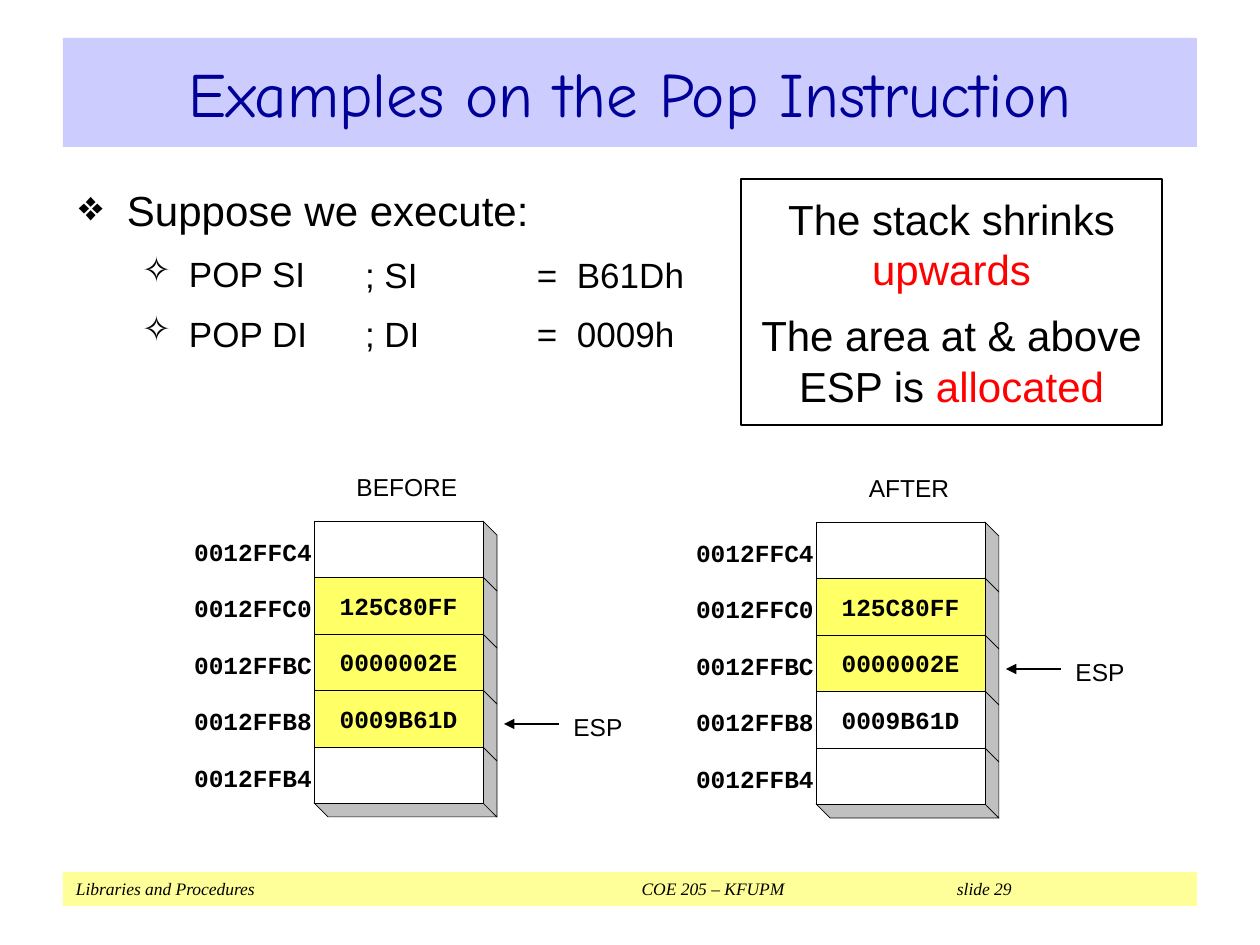
from itertools import pairwise

from lxml.etree import SubElement
from pptx import Presentation
from pptx.dml.color import RGBColor
from pptx.enum.shapes import MSO_CONNECTOR, MSO_SHAPE
from pptx.enum.text import MSO_ANCHOR, PP_ALIGN
from pptx.oxml.ns import qn
from pptx.util import Pt

SCALE = 914400 / 126
COLORS = {
    "black": "000000", "white": "FFFFFF", "red": "FF0000", "navy": "000099",
    "lavender": "CCCCFF", "cream": "FFFF99", "yellow": "FFFF66", "gray": "C0C0C0",
}
ADDRESSES = ["0012FFC4", "0012FFC0", "0012FFBC", "0012FFB8", "0012FFB4"]
VALUES = ["", "125C80FF", "0000002E", "0009B61D", ""]


def px(length):
    """Turn a length in px into EMU."""
    return round(length * SCALE)


def color(name):
    """Look up a named colour."""
    return RGBColor.from_string(COLORS[name])


def paint(shape, fill=None, line=None):
    """Set the fill and the outline width of a shape, without a shadow."""
    shape.shadow.inherit = False
    if fill:
        shape.fill.solid()
        shape.fill.fore_color.rgb = color(fill)
    else:
        shape.fill.background()
    if line:
        shape.line.color.rgb = color("black")
        shape.line.width = Pt(line)
    else:
        shape.line.fill.background()


def set_frame(shape, margins=(0, 0), anchor=MSO_ANCHOR.TOP, wrap=True):
    """Prepare the text frame of a shape and return it."""
    frame = shape.text_frame
    frame.word_wrap = wrap
    frame.vertical_anchor = anchor
    frame.margin_left = frame.margin_right = px(margins[0])
    frame.margin_top = frame.margin_bottom = px(margins[1])
    return frame


def add_rect(shapes, box, fill=None, line=None):
    """Add a painted rectangle."""
    shape = shapes.add_shape(MSO_SHAPE.RECTANGLE, *map(px, box))
    paint(shape, fill, line)
    return shape


def add_text(para, text, size, font="Arial", ink="black", bold=False, italic=False):
    """Add one run to a paragraph."""
    span = para.add_run()
    span.text = text
    span.font.size = Pt(size)
    span.font.name = font
    span.font.bold = bold
    span.font.italic = italic
    span.font.color.rgb = color(ink)


def add_bullet(para, mark, left, hang):
    """Give a paragraph a hanging bullet."""
    props = para._p.get_or_add_pPr()
    props.set("marL", str(px(left)))
    props.set("indent", str(px(-hang)))
    SubElement(props, qn("a:buChar")).set("char", mark)


def add_tabs(para, stops):
    """Set tab stops given as position and alignment."""
    tabs = SubElement(para._p.get_or_add_pPr(), qn("a:tabLst"))
    for position, align in stops:
        tab = SubElement(tabs, qn("a:tab"))
        tab.set("pos", str(px(position)))
        tab.set("algn", align)


def add_label(shapes, box, text, **style):
    """Add a centred one-line label."""
    frame = set_frame(shapes.add_textbox(*map(px, box)), wrap=False)
    para = frame.paragraphs[0]
    para.alignment = PP_ALIGN.CENTER
    add_text(para, text, 14, **style)


def add_face(shapes, points):
    """Add one gray side face of the stack."""
    builder = shapes.build_freeform(*points[0], scale=SCALE)
    builder.add_line_segments(points[1:], close=True)
    paint(builder.convert_to_shape(), "gray", 0.37)


def add_arrow(shapes, start, end):
    """Add a thin arrow."""
    arrow = shapes.add_connector(MSO_CONNECTOR.STRAIGHT, *map(px, start + end))
    arrow.line.color.rgb = color("black")
    arrow.line.width = Pt(0.75)
    SubElement(arrow.line._get_or_add_ln(), qn("a:tailEnd")).set("type", "triangle")
    SubElement(arrow._element.spPr, qn("a:effectLst"))


def add_title(page, box):
    """Add the title band."""
    frame = set_frame(add_rect(page.shapes, box, "lavender"), (13, 6), MSO_ANCHOR.MIDDLE)
    para = frame.paragraphs[0]
    para.alignment = PP_ALIGN.CENTER
    add_text(para, "Examples on the Pop Instruction", 36, "Comic Neue", "navy")


def add_footer(page, box):
    """Add the footer band with its three tabbed parts."""
    frame = set_frame(add_rect(page.shapes, box, "cream"), (13, 6), MSO_ANCHOR.MIDDLE)
    para = frame.paragraphs[0]
    para.alignment = PP_ALIGN.LEFT
    add_tabs(para, [(637, "ctr"), (881, "l")])
    add_text(para, "Libraries and Procedures\tCOE 205 – KFUPM\tslide 29", 10,
             "Times New Roman", italic=True)


def add_instructions(page, box):
    """Add the bulleted instructions and their results beside them."""
    left, top, width, height = box
    frame = set_frame(page.shapes.add_textbox(*map(px, box)), (12, 6))
    lines = [("Suppose we execute:", 24, "❖", 48, 48),
             ("POP SI", 20, "✧", 110, 47), ("POP DI", 20, "✧", 110, 47)]
    for index, (text, size, mark, indent, hang) in enumerate(lines):
        para = frame.add_paragraph() if index else frame.paragraphs[0]
        if index:
            para.level = 1
            para.space_before = Pt(10)
        add_bullet(para, mark, indent, hang)
        add_text(para, text, size)
    results = (left + 298, top + 74, width - 298, height - 74)
    frame = set_frame(page.shapes.add_textbox(*map(px, results)))
    for index, text in enumerate(["; SI\t=  B61Dh", "; DI\t=  0009h"]):
        para = frame.add_paragraph() if index else frame.paragraphs[0]
        if index:
            para.space_before = Pt(10)
        add_tabs(para, [(172, "l")])
        add_text(para, text, 20)


def add_remarks(page, box):
    """Add the framed remarks on the stack."""
    shape = add_rect(page.shapes, box, line=0.75)
    frame = set_frame(shape, (13, 6), MSO_ANCHOR.MIDDLE)
    remarks = [("The stack shrinks ", "upwards"),
               ("The area at & above ESP is ", "allocated")]
    for index, (text, stress) in enumerate(remarks):
        para = frame.add_paragraph() if index else frame.paragraphs[0]
        para.alignment = PP_ALIGN.CENTER
        if index:
            para.space_before = Pt(9)
        add_text(para, text, 24)
        add_text(para, stress, 24, ink="red")


def add_stack(page, box, heading, filled, pointer):
    """Add a stack of cells with addresses, side faces and the ESP arrow."""
    left, top, width, height = box
    right, bottom, depth = left + width, top + height, 14
    shapes = page.shapes.add_group_shape().shapes
    edges = [top + round(height * row / len(VALUES)) for row in range(len(VALUES) + 1)]
    add_label(shapes, (left + 34, top - 49, 118, 29), heading)
    add_face(shapes, [(right, bottom), (left, bottom),
                      (left + depth, bottom + depth), (right + depth, bottom + depth)])
    for row, (upper, lower) in enumerate(pairwise(edges)):
        add_face(shapes, [(right, upper), (right + depth, upper + depth),
                          (right + depth, lower + depth), (right, lower)])
        cell = add_rect(shapes, (left, upper, width, lower - upper),
                        "yellow" if row in filled else "white", 0.37)
        if VALUES[row]:
            para = set_frame(cell, anchor=MSO_ANCHOR.MIDDLE).paragraphs[0]
            para.alignment = PP_ALIGN.CENTER
            add_text(para, VALUES[row], 14, "Courier New", bold=True)
        add_label(shapes, (left - 120, upper + 16, 118, 29), ADDRESSES[row],
                  font="Courier New", bold=True)
    level = edges[pointer] + 34
    add_arrow(shapes, (left + 245, level), (left + 190, level))
    add_label(shapes, (left + 249, level - 12, 70, 29), "ESP")


def main():
    """Build the slide and save it."""
    deck = Presentation()
    deck.slide_width, deck.slide_height = px(1260), px(945)
    page = deck.slides.add_slide(deck.slide_layouts[6])
    add_footer(page, (63, 872, 1134, 34))
    add_title(page, (63, 38, 1134, 109))
    add_instructions(page, (67, 179, 667, 222))
    add_remarks(page, (741, 179, 421, 246))
    add_stack(page, (314, 521, 169, 282), "BEFORE", {1, 2, 3}, 3)
    add_stack(page, (816, 522, 169, 282), "AFTER", {1, 2}, 2)
    deck.save("out.pptx")


if __name__ == "__main__":
    main()
